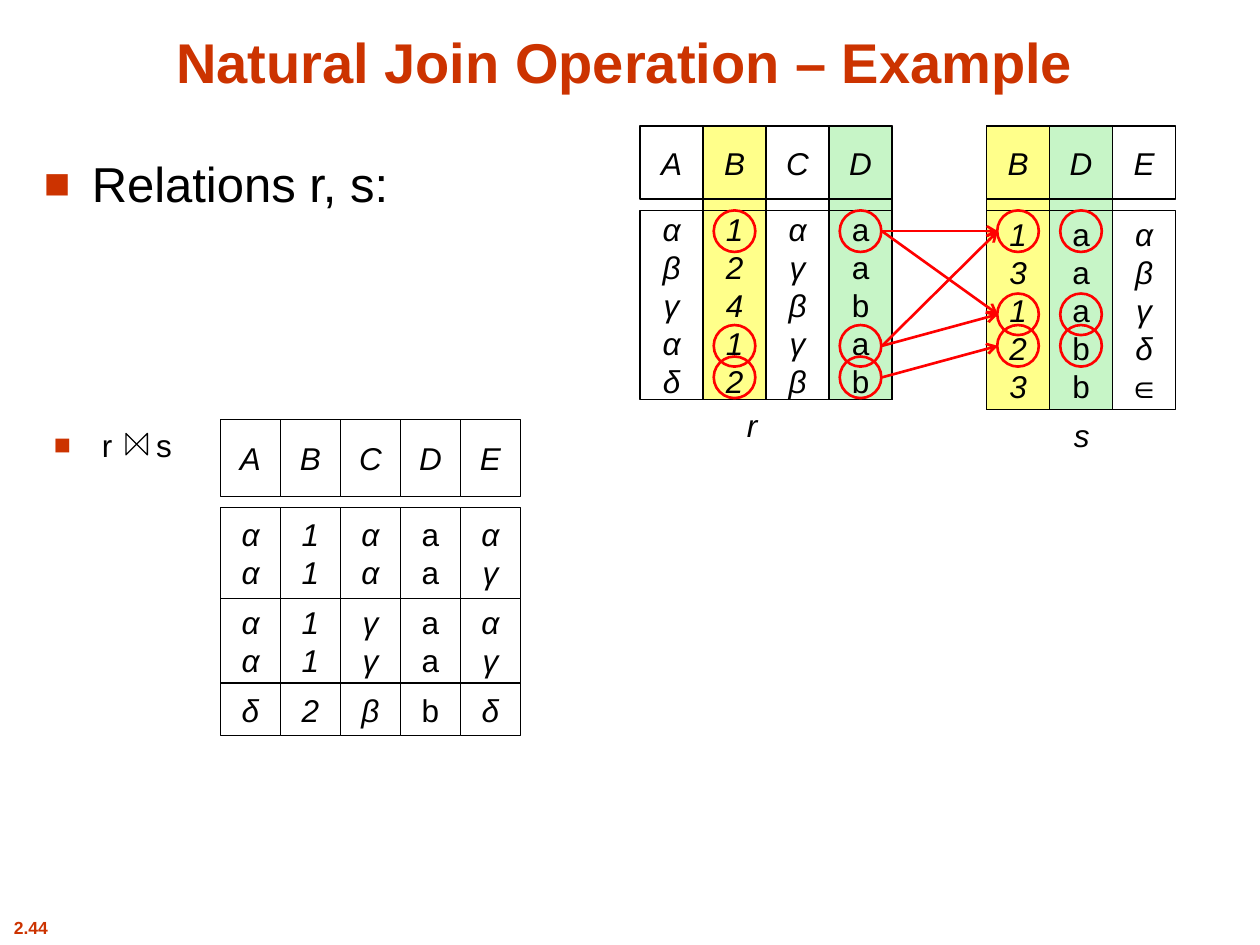
from lxml.etree import SubElement
from pptx import Presentation
from pptx.dml.color import RGBColor
from pptx.enum.shapes import MSO_CONNECTOR, MSO_SHAPE
from pptx.enum.text import MSO_ANCHOR, PP_ALIGN
from pptx.oxml.ns import qn
from pptx.util import Inches, Pt

BLACK = RGBColor(0x00, 0x00, 0x00)
WHITE = RGBColor(0xFF, 0xFF, 0xFF)
RUST = RGBColor(0xCC, 0x33, 0x00)
RED = RGBColor(0xFF, 0x00, 0x00)
YELLOW = RGBColor(0xFF, 0xFF, 0x00)
GREEN = RGBColor(0x87, 0xEB, 0x87)

HEADER_HEIGHT = 0.58
RING_SIZE = 0.33
R_BOX = (5.08, 1, 2, 2.17)
S_BOX = (7.83, 1, 1.5, 2.25)
RESULT_BOX = (1.75, 3.33, 2.38, 2.51)


def add_span(para, text, size, color=BLACK, bold=False, italic=False):
    """Append one formatted run to a paragraph."""
    span = para.add_run()
    span.text = text
    span.font.name = "Arial"
    span.font.size = Pt(size)
    span.font.bold = bold
    span.font.italic = italic
    span.font.color.rgb = color
    return span


def add_shape(slide, kind, box, line=BLACK, width=0.75, fill=None):
    """Draw a preset outline, hollow unless a fill is given."""
    shape = slide.shapes.add_shape(kind, *map(Inches, box))
    shape.shadow.inherit = False
    shape.line.color.rgb = line
    shape.line.width = Pt(width)
    if fill is None:
        shape.fill.background()
    else:
        shape.fill.solid()
        shape.fill.fore_color.rgb = fill
    return shape


def add_text(slide, box, anchor=MSO_ANCHOR.TOP, align=PP_ALIGN.LEFT, wrap=True):
    """Place a text box and return its first paragraph."""
    frame = slide.shapes.add_textbox(*map(Inches, box)).text_frame
    frame.word_wrap = wrap
    frame.vertical_anchor = anchor
    para = frame.paragraphs[0]
    para.alignment = align
    return para


def add_bullet(para):
    """Give a paragraph a hanging square bullet and proportional spacing."""
    props = para._p.get_or_add_pPr()
    indent = Inches(0.38)
    props.set("marL", str(indent))
    props.set("indent", str(-indent))
    SubElement(SubElement(props, qn("a:spcBef")), qn("a:spcPct"), val="35000")
    SubElement(SubElement(props, qn("a:buClr")), qn("a:srgbClr"), val=str(RUST))
    SubElement(props, qn("a:buSzPct"), val="90000")
    SubElement(props, qn("a:buFont"), typeface="Arial")
    SubElement(props, qn("a:buChar"), char="■")


def add_band(slide, box, column, color):
    """Tint one half-inch column of a relation."""
    left, top, _, height = box
    band = add_shape(slide, MSO_SHAPE.RECTANGLE,
                     (left + 0.5 * column, top, 0.5, height), fill=color)
    tint = band.fill._xPr.find(qn("a:solidFill"))[0]
    SubElement(tint, qn("a:alpha"), val="46000")


def add_row(slide, box, columns, upright=None, fill=None):
    """Split a box into equal cells that each stack their characters."""
    left, top, width, height = box
    pitch = width / len(columns)
    for index, values in enumerate(columns):
        cell = add_shape(slide, MSO_SHAPE.RECTANGLE,
                         (left + index * pitch, top, pitch, height), fill=fill)
        frame = cell.text_frame
        frame.word_wrap = False
        frame.vertical_anchor = MSO_ANCHOR.MIDDLE
        for number, value in enumerate(values):
            para = frame.add_paragraph() if number else frame.paragraphs[0]
            para.alignment = PP_ALIGN.CENTER
            add_span(para, value, 18, italic=index != upright)


def add_relation(slide, box, names, columns, label, label_box):
    """Draw an input relation with its header, body and name."""
    left, top, width, height = box
    body_top = 1.67
    add_row(slide, (left, top, width, HEADER_HEIGHT), names)
    add_row(slide, (left, body_top, width, top + height - body_top),
            columns, upright=names.index("D"))
    para = add_text(slide, label_box, MSO_ANCHOR.MIDDLE, PP_ALIGN.CENTER, False)
    add_span(para, label, 18, italic=True)


def add_result(slide, box):
    """Draw the joined relation as a header and three groups of rows."""
    left, top, width, height = box
    add_row(slide, (left, top, width, 0.61), "ABCDE", fill=WHITE)
    groups = [
        (0.70, 1.42, ["αα", "11", "αα", "aa", "αγ"]),
        (1.42, 2.09, ["αα", "11", "γγ", "aa", "αγ"]),
        (2.09, height, ["δ", "2", "β", "b", "δ"]),
    ]
    for start, end, columns in groups:
        add_row(slide, (left, top + start, width, end - start), columns,
                upright=3, fill=WHITE)


def add_rings(slide, box, columns, tops):
    """Circle the matching values in the given columns of a relation."""
    inset = (0.5 - RING_SIZE) / 2
    for top in tops:
        for column in columns:
            add_shape(slide, MSO_SHAPE.OVAL,
                      (box[0] + 0.5 * column + inset, top, RING_SIZE, RING_SIZE),
                      line=RED, width=1.5)


def add_matches(slide, r_box, s_box):
    """Ring the joined values and point from r to s."""
    r_tops = (1.67, 2.58, 2.83)
    s_tops = (1.67, 2.33, 2.58)
    add_rings(slide, r_box, (1, 3), r_tops)
    add_rings(slide, s_box, (0, 1), s_tops)
    start_x = r_box[0] + r_box[2] - 0.08
    end_x = s_box[0] + 0.09
    for source, target in ((0, 0), (0, 1), (1, 1), (1, 0), (2, 2)):
        arrow = slide.shapes.add_connector(
            MSO_CONNECTOR.STRAIGHT,
            Inches(start_x), Inches(r_tops[source] + RING_SIZE / 2),
            Inches(end_x), Inches(s_tops[target] + RING_SIZE / 2))
        arrow.line.color.rgb = RED
        arrow.line.width = Pt(1.5)
        SubElement(arrow.line._get_or_add_ln(), qn("a:tailEnd"), type="arrow")
        SubElement(arrow._element.spPr, qn("a:effectLst"))


def add_headings(slide, box):
    """Place the title, the introductory bullet and the page number."""
    left, top, width, height = box
    title = add_text(slide, (left + 0.25, top + 0.13, width - 0.58, 0.67),
                     MSO_ANCHOR.BOTTOM, PP_ALIGN.CENTER)
    add_span(title, "Natural Join Operation – Example", 32, RUST, bold=True)
    intro = add_text(slide, (left + 0.25, top + 1.17, 3.92, 0.92))
    add_bullet(intro)
    add_span(intro, "Relations r, s:", 28)
    number = add_text(slide, (left, top + height - 0.27, 0.49, 0.27),
                      align=PP_ALIGN.CENTER, wrap=False)
    add_span(number, "2.44", 10, RUST, bold=True)


def add_join_bullet(slide, box):
    """Write r joined with s, with the bow tie between the letters."""
    left, top, _, _ = box
    para = add_text(slide, box)
    add_bullet(para)
    add_span(para, "r", 18)
    gap = add_span(para, " ", 18)
    gap._r.get_or_add_rPr().set("spc", "2000")
    add_span(para, "s", 18)
    bow_tie = add_shape(slide, MSO_SHAPE.FLOWCHART_COLLATE,
                        (left + 0.67, top + 0.11, 0.17, 0.17))
    bow_tie.rotation = 270


def main():
    """Build the slide and save the deck."""
    deck = Presentation()
    deck.slide_width = Inches(10)
    deck.slide_height = Inches(7.5)
    slide = deck.slides.add_slide(deck.slide_layouts[6])
    for box, column, color in ((S_BOX, 1, GREEN), (R_BOX, 3, GREEN),
                               (S_BOX, 0, YELLOW), (R_BOX, 1, YELLOW)):
        add_band(slide, box, column, color)
    add_headings(slide, (0, 0, 10, 7.5))
    add_relation(slide, R_BOX, "ABCD", ["αβγαδ", "12412", "αγβγβ", "aabab"],
                 "r", (5.83, 3.17, 0.28, 0.4))
    add_relation(slide, S_BOX, "BDE", ["13123", "aaabb", "αβγδ∈"],
                 "s", (8.42, 3.25, 0.33, 0.4))
    add_join_bullet(slide, (0.33, 3.33, 1.27, 0.45))
    add_result(slide, RESULT_BOX)
    add_matches(slide, R_BOX, S_BOX)
    deck.save("out.pptx")


if __name__ == "__main__":
    main()
